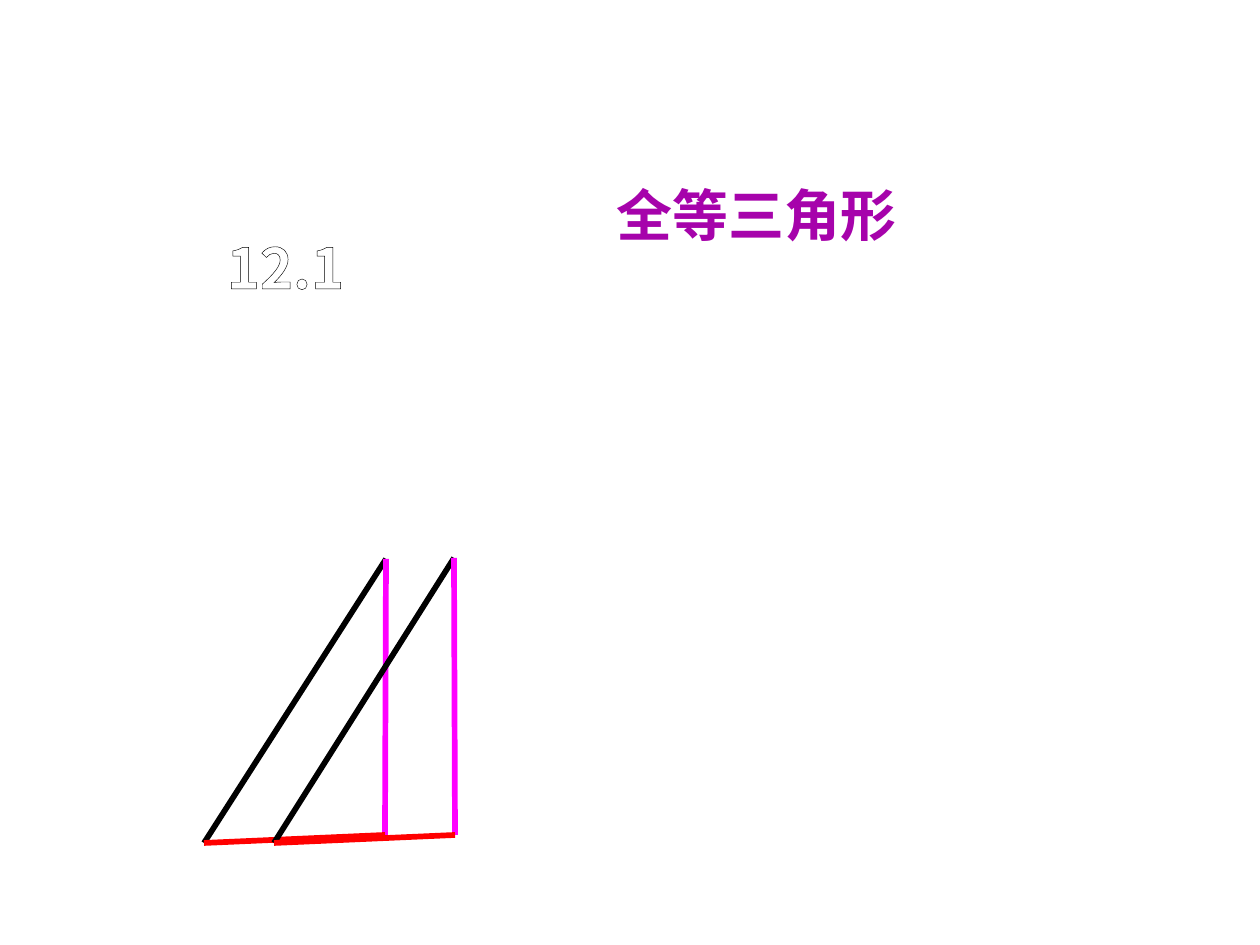
from itertools import combinations

from lxml.etree import SubElement
from pptx import Presentation
from pptx.dml.color import RGBColor
from pptx.enum.shapes import MSO_CONNECTOR
from pptx.enum.text import MSO_ANCHOR, PP_ALIGN
from pptx.oxml.ns import qn
from pptx.util import Pt

SCALE = 914400 / 126
FACE = "Noto Sans CJK SC"
FONT = {"name": FACE, "size": Pt(32), "bold": True}
SIDES = ["000000", "FF00FF", "FF0000"]


def px(count):
    return round(count * SCALE)


def paint(color, value):
    color.rgb = RGBColor.from_string(value)


def apply(target, values):
    for name, value in values.items():
        setattr(target, name, value)


def outline(run, color, width):
    props = run.font._element
    line = SubElement(props, qn("a:ln"), w=str(Pt(width)))
    fill = SubElement(line, qn("a:solidFill"))
    SubElement(fill, qn("a:srgbClr"), val=color)
    props.insert(0, line)


def label(slide, box, words, color, edge, width, left=13):
    frame = slide.shapes.add_textbox(*map(px, box)).text_frame
    apply(frame, {
        "word_wrap": True,
        "vertical_anchor": MSO_ANCHOR.TOP,
        "margin_left": px(left),
        "margin_right": px(13),
        "margin_top": px(6),
        "margin_bottom": px(6),
    })
    para = frame.paragraphs[0]
    para.alignment = PP_ALIGN.CENTER
    run = para.add_run()
    run.text = words
    apply(run.font, FONT)
    paint(run.font.color, color)
    SubElement(run.font._element, qn("a:ea"), typeface=FACE)
    outline(run, edge, width)


def side(group, start, end, color):
    line = group.shapes.add_connector(
        MSO_CONNECTOR.STRAIGHT, *map(px, (*start, *end)))
    line.line.width = Pt(3.25)
    paint(line.line.color, color)
    SubElement(line._element.spPr, qn("a:effectLst"))


def triangle(slide, left, top, right):
    group = slide.shapes.add_group_shape()
    pairs = [(top, left), (right, top), (right, left)]
    for (start, end), color in zip(pairs, SIDES):
        side(group, start, end, color)


def main():
    deck = Presentation()
    apply(deck, {"slide_width": px(1260), "slide_height": px(945)})
    slide = deck.slides.add_slide(deck.slide_layouts[6])
    label(slide, (323, 175, 843, 367), "全等三角形",
          "A603AB", "EAEAEA", 1, left=38)
    label(slide, (137, 227, 297, 287), "12.1", "FFFFFF", "000000", 0.75)
    triangle(slide, (204, 843), (386, 559), (385, 835))
    triangle(slide, (274, 843), (454, 558), (455, 835))
    deck.save("out.pptx")


if __name__ == "__main__":
    main()
